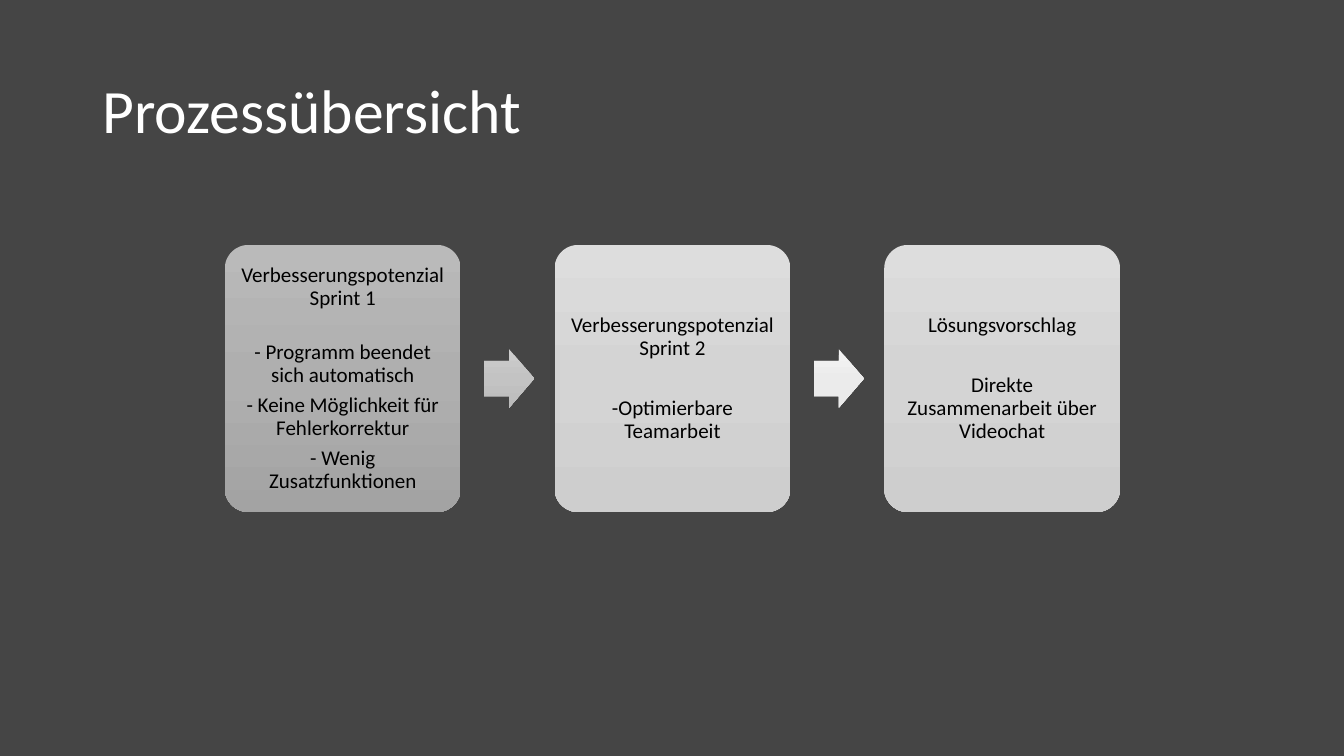
from copy import deepcopy
from dataclasses import dataclass

from pptx import Presentation
from pptx.dml.color import RGBColor
from pptx.enum.shapes import MSO_SHAPE
from pptx.enum.text import MSO_ANCHOR, PP_ALIGN
from pptx.oxml.ns import qn
from pptx.util import Inches, Pt

CARD_SHAPE = MSO_SHAPE.ROUNDED_RECTANGLE
ARROW_SHAPE = MSO_SHAPE.RIGHT_ARROW
MIDDLE = MSO_ANCHOR.MIDDLE
CENTER = PP_ALIGN.CENTER

Gradient = tuple[str, str, str]


@dataclass(frozen=True)
class Theme:
    font: str = "Calibri"
    background: str = "454545"
    title_color: str = "FFFFFF"
    text_color: str = "000000"
    title_size: float = 44
    text_size: float = 15
    line_spacing: float = 0.9
    paragraph_gap: float = 5.25
    dark_card: Gradient = ("BABABA", "AFAFAF", "A3A3A3")
    light_card: Gradient = ("DDDDDD", "D4D4D4", "CECECE")
    dark_arrow: Gradient = ("CDCDCD", "C3C3C3", "BBBBBB")
    light_arrow: Gradient = ("F4F4F4", "EBEBEB", "E9E9E9")


@dataclass(frozen=True)
class Card:
    heading: str
    points: tuple[str, ...]
    colors: Gradient
    heading_gap: float


THEME = Theme()

CARDS = (
    Card("Verbesserungspotenzial Sprint 1",
         ("- Programm beendet sich automatisch",
          "- Keine Möglichkeit für Fehlerkorrektur",
          "- Wenig Zusatzfunktionen"),
         THEME.dark_card, 23),
    Card("Verbesserungspotenzial Sprint 2", ("-Optimierbare Teamarbeit",),
         THEME.light_card, 27),
    Card("Lösungsvorschlag", ("Direkte Zusammenarbeit über Videochat",),
         THEME.light_card, 27),
)
ARROWS = (THEME.dark_arrow, THEME.light_arrow)

# Layout in inches
FIRST_LEFT, CARD_TOP, CARD_WIDTH, CARD_HEIGHT = 2.23, 2.43, 2.34, 2.65
CARD_STEP = 3.27
ARROW_OFFSET, ARROW_WIDTH, ARROW_HEIGHT = 2.57, 0.5, 0.58
ARROW_TOP = CARD_TOP + (CARD_HEIGHT - ARROW_HEIGHT) / 2
CARD_INSET = 0.06


def add_text(para, text: str, size: float, color: str) -> None:
    para.line_spacing = THEME.line_spacing
    span = para.add_run()
    span.text = text
    span.font.name = THEME.font
    span.font.size = Pt(size)
    span.font.color.rgb = RGBColor.from_string(color)


def fill_gradient(shape, colors: Gradient) -> None:
    """Fill from top to bottom with three evenly spaced stops."""
    shape.fill.gradient()
    shape.fill.gradient_angle = 270
    stop_list = shape._element.spPr.find(qn("a:gradFill")).find(qn("a:gsLst"))
    stop_list.append(deepcopy(stop_list[-1]))
    for index, (stop, color) in enumerate(zip(shape.fill.gradient_stops, colors)):
        stop.position = index / 2
        stop.color.rgb = RGBColor.from_string(color)


def add_block(page, kind, left: float, top: float, width: float, height: float,
              adjustments: tuple[float, ...], colors: Gradient):
    block = page.shapes.add_shape(
        kind, Inches(left), Inches(top), Inches(width), Inches(height))
    for index, value in enumerate(adjustments):
        block.adjustments[index] = value
    block.shadow.inherit = False
    block.line.fill.background()
    fill_gradient(block, colors)
    return block


def add_title(page, text: str) -> None:
    box = page.shapes.add_textbox(
        Inches(0.92), Inches(0.4), Inches(11.5), Inches(1.45))
    frame = box.text_frame
    frame.word_wrap = True
    frame.vertical_anchor = MIDDLE
    add_text(frame.paragraphs[0], text, THEME.title_size, THEME.title_color)


def add_card(page, card: Card, left: float) -> None:
    block = add_block(page, CARD_SHAPE, left, CARD_TOP, CARD_WIDTH, CARD_HEIGHT,
                      (0.1,), card.colors)
    frame = block.text_frame
    frame.word_wrap = True
    frame.vertical_anchor = MIDDLE
    frame.margin_left = frame.margin_right = Inches(CARD_INSET)
    frame.margin_top = frame.margin_bottom = Inches(CARD_INSET)
    for index, text in enumerate((card.heading, *card.points)):
        para = frame.add_paragraph() if index else frame.paragraphs[0]
        para.alignment = CENTER
        para.space_after = Pt(THEME.paragraph_gap if index else card.heading_gap)
        add_text(para, text, THEME.text_size, THEME.text_color)


def main() -> None:
    deck = Presentation()
    deck.slide_width, deck.slide_height = Inches(13.33), Inches(7.5)
    page = deck.slides.add_slide(deck.slide_layouts[6])
    page.background.fill.solid()
    page.background.fill.fore_color.rgb = RGBColor.from_string(THEME.background)

    add_title(page, "Prozessübersicht")

    # Process steps
    for index, card in enumerate(CARDS):
        add_card(page, card, FIRST_LEFT + index * CARD_STEP)

    # Arrows between the steps
    for index, colors in enumerate(ARROWS):
        add_block(page, ARROW_SHAPE, FIRST_LEFT + ARROW_OFFSET + index * CARD_STEP,
                  ARROW_TOP, ARROW_WIDTH, ARROW_HEIGHT, (0.6, 0.5), colors)

    deck.save("out.pptx")


if __name__ == "__main__":
    main()
